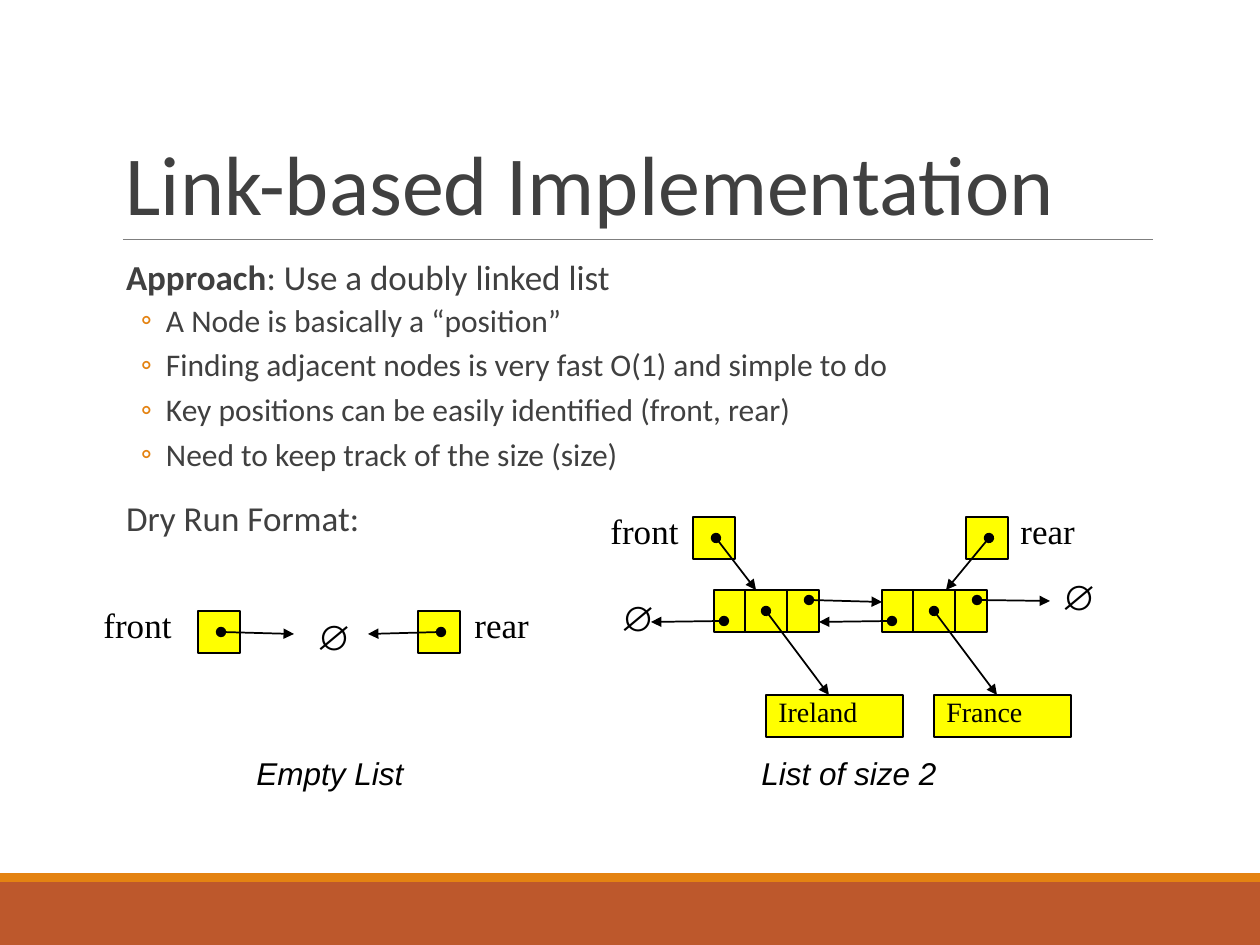
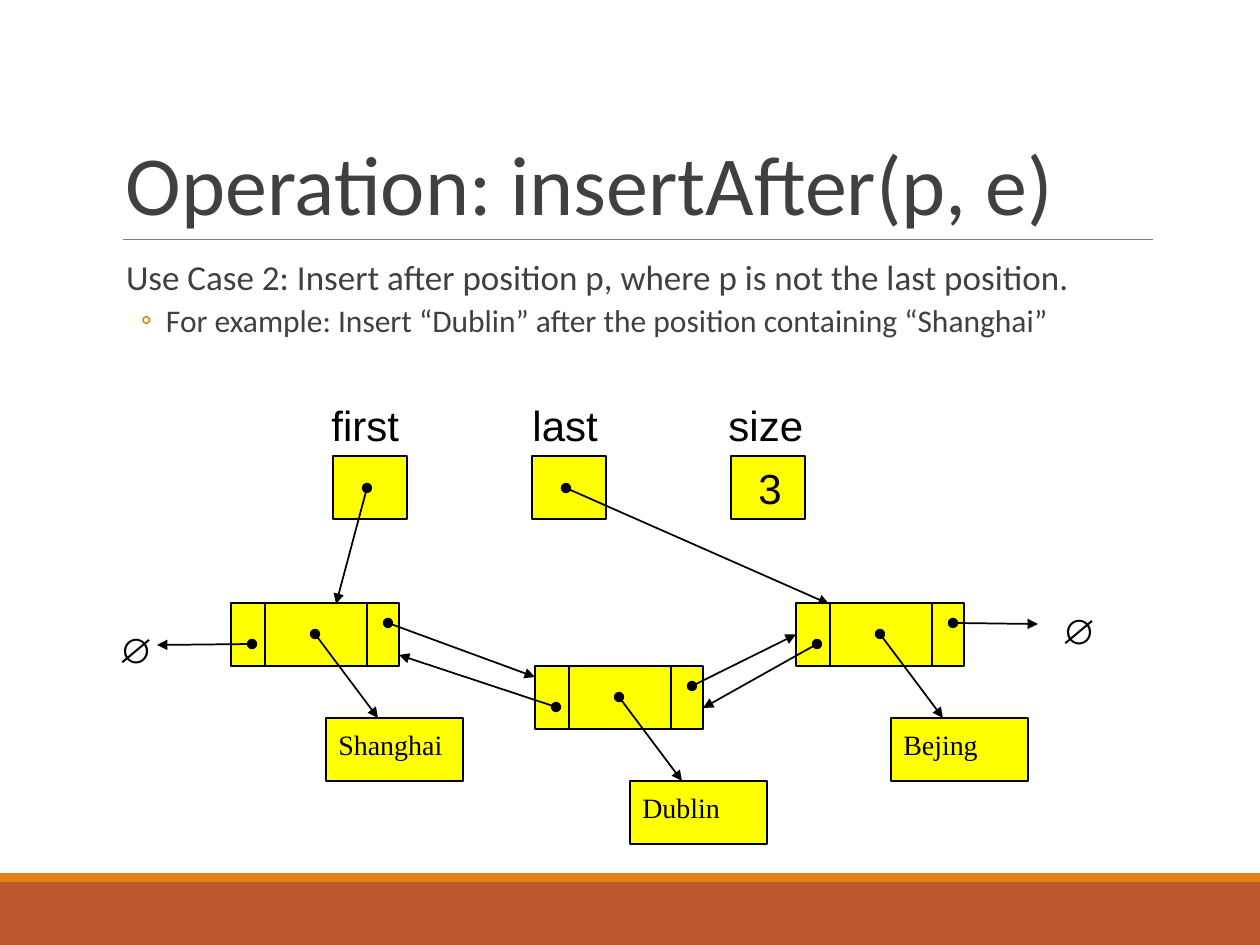
from dataclasses import dataclass

from lxml import etree
from pptx import Presentation
from pptx import util as u
from pptx.dml import color
from pptx.enum import shapes, text
from pptx.oxml import ns

PX = 914400 / 126
COLORS = {
    "band": "BD582C",
    "stripe": "E48312",
    "rule": "7F7F7F",
    "heading": "404040",
    "ink": "000000",
    "cell": "FFFF00",
}
SERIF, SANS, BODY = "Times New Roman", "Arial", "Calibri"


@dataclass
class NodeStyle:
    width: int
    height: int
    dividers: tuple
    next_dot: tuple
    prev_dot: tuple
    data_left: int
    data_top: int
    cell_width: int
    cell_dot: tuple


SMALL = NodeStyle(105, 42, (31, 73), (95, 10), (10, 31), 52, 105, 42, (23, 21))
LARGE = NodeStyle(168, 63, (34, 136), (157, 20), (21, 41), 95, 115, 74, (34, 32))


def px(*lengths):
    return [u.Emu(round(length * PX)) for length in lengths]


def rgb(name):
    return color.RGBColor.from_string(COLORS[name])


def set_font(font, name, size, ink="ink", italic=None):
    font.name, font.size, font.italic = name, u.Pt(size), italic
    font.color.rgb = rgb(ink)


def add_rect(page, box, fill, line=None):
    rect = page.shapes.add_shape(shapes.MSO_SHAPE.RECTANGLE, *px(*box))
    rect.shadow.inherit = False
    rect.fill.solid()
    rect.fill.fore_color.rgb = rgb(fill)
    if line:
        rect.line.color.rgb = rgb(line)
        rect.line.width = u.Pt(0.75)
    else:
        rect.line.fill.background()
    return rect


def add_line(page, start, end, width=0.75, ink="ink"):
    line = page.shapes.add_connector(
        shapes.MSO_CONNECTOR.STRAIGHT, *px(*start, *end))
    line.line.color.rgb = rgb(ink)
    line.line.width = u.Pt(width)
    etree.SubElement(line._element.spPr, ns.qn("a:effectLst"))
    return line


def write(shape, words, font, size, spacing=None, italic=None):
    frame = shape.text_frame
    frame.word_wrap = True
    para = frame.paragraphs[0]
    para.text = words
    para.alignment = text.PP_ALIGN.LEFT
    para.line_spacing = spacing
    set_font(para.font, font, size, italic=italic)


class Region:
    def __init__(self, page, left, top, style):
        self.page, self.left, self.top, self.style = page, left, top, style

    def at(self, point):
        return self.left + point[0], self.top + point[1]

    def rect(self, point, width, height):
        return add_rect(self.page, (*self.at(point), width, height), "cell", "ink")

    def arrow(self, start, tip):
        arrow = add_line(self.page, self.at(start), self.at(tip), 1)
        outline = arrow.line._get_or_add_ln()
        for tag, kind in (("a:headEnd", "oval"), ("a:tailEnd", "triangle")):
            etree.SubElement(outline, ns.qn(tag), type=kind)
        return arrow

    def label(self, words, point, width, height, font, size, **options):
        label = self.page.shapes.add_textbox(*px(*self.at(point), width, height))
        write(label, words, font, size, **options)

    def null(self, *point):
        self.label("∅", point, 53, 55, SANS, 20)

    def caption(self, words, point, width):
        self.label(words, point, width, 50, SANS, 18, italic=True)

    def pointer_name(self, words, point, width):
        self.label(words, point, width, 38, SERIF, 20, spacing=0.6)

    def pointer(self, point, tip=None):
        self.rect(point, self.style.cell_width, self.style.height)
        if tip:
            dot_x, dot_y = self.style.cell_dot
            self.arrow((point[0] + dot_x, point[1] + dot_y), tip)

    def node(self, element, left, top, next_tip, prev_tip):
        style = self.style
        node = self.rect((left, top), style.width, style.height)
        for divider in style.dividers:
            x = left + divider
            add_line(self.page, self.at((x, top)),
                     self.at((x, top + style.height)))
        data_top = top + style.data_top
        data = self.rect((left + style.data_left, data_top), 137, style.height)
        data.text_frame.vertical_anchor = text.MSO_ANCHOR.MIDDLE
        write(data, element, SERIF, 16, spacing=0.6)
        middle = left + style.width // 2
        self.arrow((middle, top + style.height // 2), (middle + 63, data_top))
        forward, _ = [
            self.arrow((left + dot[0], top + dot[1]), tip)
            for dot, tip in ((style.next_dot, next_tip), (style.prev_dot, prev_tip))
        ]
        return node, forward


def add_bullet(para):
    props = para._p.get_or_add_pPr()
    margin, hang = px(53, 25)
    props.set("marL", str(margin))
    props.set("indent", str(-hang))
    tint = etree.SubElement(props, ns.qn("a:buClr"))
    etree.SubElement(tint, ns.qn("a:srgbClr"), val=COLORS["stripe"])
    etree.SubElement(props, ns.qn("a:buFont"), typeface=BODY)
    etree.SubElement(props, ns.qn("a:buChar"), char="◦")


def remove_bullet(para):
    props = para._p.get_or_add_pPr()
    props.set("marL", str(px(13)[0]))
    props.set("indent", "0")
    etree.SubElement(props, ns.qn("a:buNone"))


def place(holder, box, anchor):
    holder.left, holder.top, holder.width, holder.height = px(*box)
    holder.text_frame.auto_size = text.MSO_AUTO_SIZE.NONE
    holder.text_frame.vertical_anchor = anchor


def fill_title(holder, words, box):
    place(holder, box, text.MSO_ANCHOR.BOTTOM)
    para = holder.text_frame.paragraphs[0]
    para.text = words
    para.alignment = text.PP_ALIGN.LEFT
    para.line_spacing = 0.85
    set_font(para.font, BODY, 48, "heading")


def fill_body(holder, items, box):
    place(holder, box, text.MSO_ANCHOR.TOP)
    frame = holder.text_frame
    frame.margin_left = frame.margin_right = 0
    for index, (level, *spans) in enumerate(items):
        para = frame.add_paragraph() if index else frame.paragraphs[0]
        para.level = level
        if level:
            add_bullet(para)
        else:
            remove_bullet(para)
        before, after, size = (2, 4, 18) if level else (12, 2, 20)
        para.space_before = u.Pt(before if index else 0)
        para.space_after = u.Pt(after)
        para.line_spacing = 0.9
        set_font(para.font, BODY, size, "heading")
        for position, words in enumerate(spans):
            span = para.add_run()
            span.text = words
            if position < len(spans) - 1:
                span.font.bold = True


def add_page(deck, title, items):
    page = deck.slides.add_slide(deck.slide_layouts[1])
    add_rect(page, (0, 882, 1260, 63), "band")
    add_rect(page, (0, 873, 1260, 9), "stripe")
    add_line(page, (123, 239), (1153, 239), 0.5, "rule")
    fill_title(page.shapes.title, title, (113, 39, 1040, 200))
    fill_body(page.placeholders[1], items, (113, 254, 1040, 554))
    return page


def draw_empty_list(page, left, top):
    region = Region(page, left, top, SMALL)
    region.pointer_name("front", (0, 1), 107)
    region.pointer((107, 0), (203, 23))
    region.null(213, -2)
    region.pointer((327, 0), (277, 23))
    region.pointer_name("rear", (371, 1), 93)
    region.caption("Empty List", (153, 137), 185)


def draw_list_of_two(page, left, top):
    region = Region(page, left, top, SMALL)
    region.node("Ireland", 116, 73, (284, 85), (53, 105))
    region.node("France", 284, 73, (452, 84), (221, 105))
    region.pointer_name("front", (0, 1), 95)
    region.pointer((95, 0), (158, 73))
    region.pointer((368, 0), (348, 73))
    region.pointer_name("rear", (410, 1), 95)
    region.null(10, 73)
    region.null(451, 52)
    region.caption("List of size 2", (151, 231), 210)


def draw_insertion(page, left, top):
    region = Region(page, left, top, LARGE)
    fields = (
        ("first", 213, (230, 211)),
        ("last", 414, (723, 211)),
        ("size", 610, None),
    )
    for index, (name, name_left, tip) in enumerate(fields):
        region.label(name, (name_left, 0), 110, 63, SANS, 24)
        region.pointer((227 + 199 * index, 63), tip)
    region.label("3", (640, 63), 73, 63, SANS, 24)
    last_node, _ = region.node("Bejing", 690, 210, (932, 231), (597, 315))
    region.node("Shanghai", 125, 210, (429, 284), (51, 252))
    _, forward = region.node("Dublin", 429, 273, (690, 242), (293, 262))
    forward.end_connect(last_node, 1)
    region.null(0, 229)
    region.null(943, 210)


def main():
    deck = Presentation()
    deck.slide_width, deck.slide_height = px(1260, 945)

    page = add_page(deck, "Link-based Implementation", (
        (0, "Approach", ": Use a doubly linked list"),
        (1, "A Node is basically a “position”"),
        (1, "Finding adjacent nodes is very fast O(1) and simple to do"),
        (1, "Key positions can be easily identified (front, rear)"),
        (1, "Need to keep track of the size (size)"),
        (0, "Dry Run Format:"),
    ))
    draw_empty_list(page, 91, 611)
    draw_list_of_two(page, 598, 517)

    page = add_page(deck, "Operation: insertAfter(p, e)", (
        (0, "Use Case 2: Insert after position p, where p is not the last position."),
        (1, "For example: Insert “Dublin” after the position containing “Shanghai”"),
    ))
    draw_insertion(page, 106, 393)

    deck.save("out.pptx")


if __name__ == "__main__":
    main()
